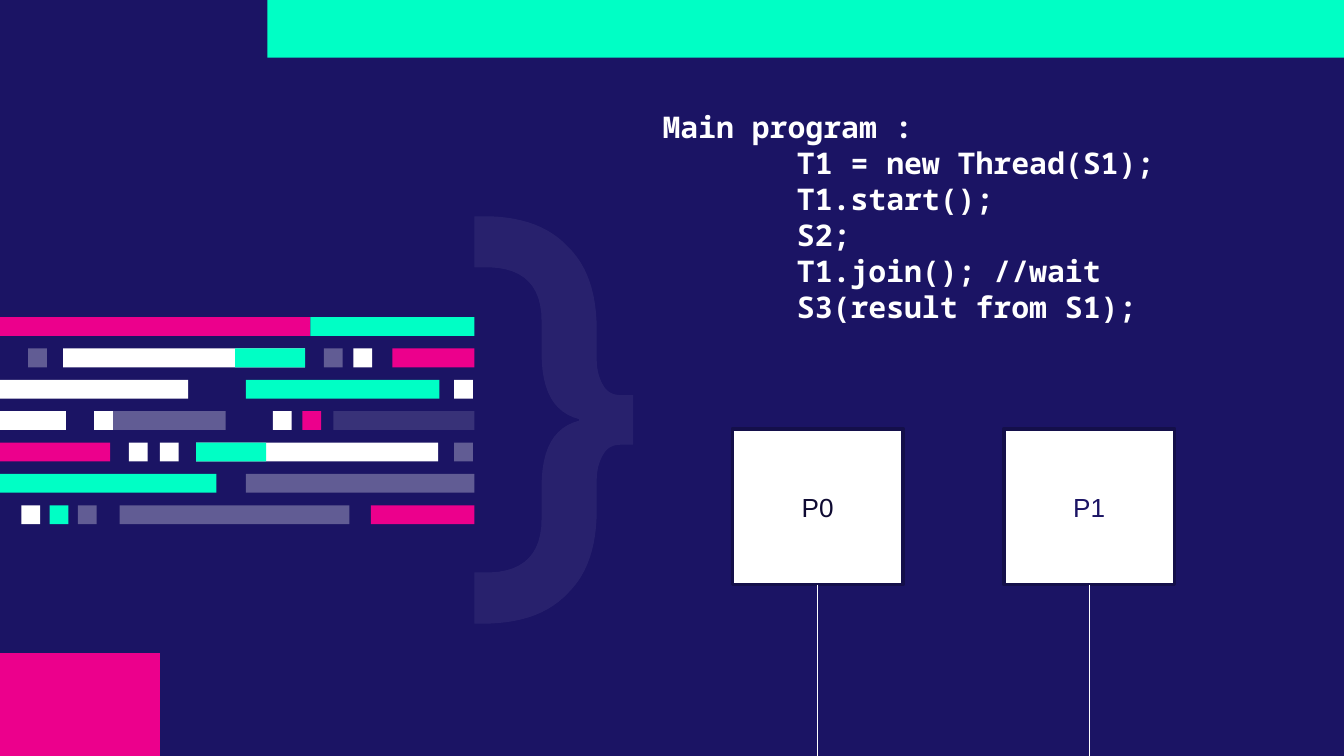
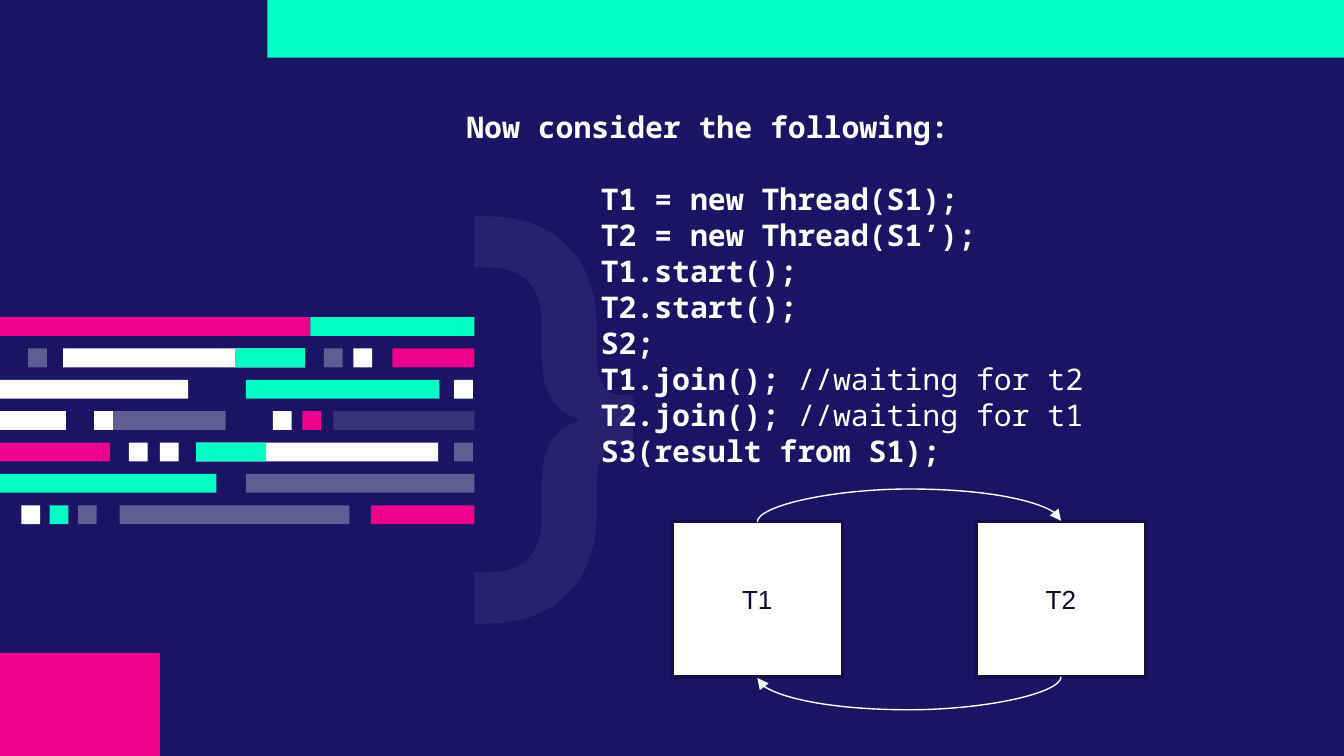
from lxml import etree
from pptx import Presentation
from pptx.dml.color import RGBColor
from pptx.enum.shapes import MSO_CONNECTOR, MSO_SHAPE
from pptx.enum.text import MSO_ANCHOR, MSO_AUTO_SIZE, PP_ALIGN
from pptx.oxml.ns import qn
from pptx.util import Inches, Pt

RECTANGLE = MSO_SHAPE.RECTANGLE
STRAIGHT, CURVE = MSO_CONNECTOR.STRAIGHT, MSO_CONNECTOR.CURVE
TOP, MIDDLE = MSO_ANCHOR.TOP, MSO_ANCHOR.MIDDLE
LEFT, CENTER = PP_ALIGN.LEFT, PP_ALIGN.CENTER
NO_AUTOFIT = MSO_AUTO_SIZE.NONE

NAVY = RGBColor(0x1B, 0x14, 0x64)
DARK_NAVY = RGBColor(0x14, 0x0F, 0x4A)
INK = RGBColor(0x0E, 0x0A, 0x32)
MINT = RGBColor(0x00, 0xFF, 0xC5)
PINK = RGBColor(0xEC, 0x00, 0x8C)
WHITE = RGBColor(0xFF, 0xFF, 0xFF)

CODE_FONT, LABEL_FONT = "Noto Sans Mono", "Arial"
LINE_PITCH = Pt(19.25)
PAGE_WIDTH = 10
PAGE_HEIGHT = PAGE_WIDTH * 9 / 16
BOX_WIDTH, BOX_HEIGHT = 1.27, 1.16

# Fills as (colour, opacity in percent)
SOLID_MINT, SOLID_PINK, SOLID_WHITE = (MINT, 100), (PINK, 100), (WHITE, 100)
HAZE, FAINT_HAZE, GHOST = (WHITE, 31), (WHITE, 13), (WHITE, 6)

# Rows of code-like bars: (left, width, fill)
SQUARE = 0.14
BAR_ROWS = [
    [(0, 2.31, SOLID_PINK), (2.31, 1.22, SOLID_MINT)],
    [(0.21, SQUARE, HAZE), (0.47, 1.8, SOLID_WHITE), (1.75, 0.52, SOLID_MINT),
     (2.41, SQUARE, HAZE), (2.63, SQUARE, SOLID_WHITE), (2.92, 0.61, SOLID_PINK)],
    [(0, 1.4, SOLID_WHITE), (1.83, 1.44, SOLID_MINT), (3.38, SQUARE, SOLID_WHITE)],
    [(0, 0.49, SOLID_WHITE), (0.7, 0.98, HAZE), (0.7, SQUARE, SOLID_WHITE),
     (2.03, SQUARE, SOLID_WHITE), (2.25, SQUARE, SOLID_PINK), (2.48, 1.05, FAINT_HAZE)],
    [(0, 0.82, SOLID_PINK), (0.96, SQUARE, SOLID_WHITE), (1.19, SQUARE, SOLID_WHITE),
     (1.46, 1.8, SOLID_WHITE), (1.46, 0.52, SOLID_MINT), (3.38, SQUARE, HAZE)],
    [(0, 1.61, SOLID_MINT), (1.83, 1.7, HAZE)],
    [(0.16, SQUARE, SOLID_WHITE), (0.37, SQUARE, SOLID_MINT), (0.58, SQUARE, HAZE),
     (0.89, 1.71, HAZE), (2.76, 0.77, SOLID_PINK)],
]

# Upper half of the brace, from its top left corner: a pair is a corner,
# three pairs are a Bezier curve
BRACE_OUTER = [
    (0, 0), (0.12, 0),
    ((0.37, 0.01), (0.56, 0.08), (0.7, 0.23)),
    ((0.84, 0.37), (0.91, 0.57), (0.91, 0.84)), (0.91, 1.06),
    ((0.91, 1.15), (0.93, 1.21), (0.96, 1.26)),
    ((0.99, 1.31), (1.03, 1.33), (1.09, 1.33)), (1.18, 1.33)]
BRACE_INNER = [
    (0, 0.38), (0.12, 0.38),
    ((0.37, 0.39), (0.5, 0.52), (0.5, 0.78)), (0.5, 1.02),
    ((0.5, 1.3), (0.59, 1.46), (0.78, 1.51))]


def paint(shape, fill):
    """Flat fill, no outline and no shadow."""
    colour, opacity = fill
    shape.shadow.inherit = False
    shape.line.fill.background()
    shape.fill.solid()
    shape.fill.fore_color.rgb = colour
    if opacity < 100:
        tint = shape.element.spPr.find(qn("a:solidFill"))[0]
        etree.SubElement(tint, qn("a:alpha")).set("val", str(opacity * 1000))


def add_rectangle(page, left, top, width, height, fill):
    shape = page.shapes.add_shape(
        RECTANGLE, Inches(left), Inches(top), Inches(width), Inches(height))
    paint(shape, fill)
    return shape


def trace(steps, parts=12):
    """Turn corners and Bezier curves into a list of points."""
    points = []
    for step in steps:
        if len(step) == 2:
            points.append(step)
            continue
        knots = (points[-1], *step)
        for part in range(1, parts + 1):
            t = part / parts
            weights = ((1 - t) ** 3, 3 * t * (1 - t) ** 2, 3 * t * t * (1 - t), t ** 3)
            points.append(tuple(
                sum(weight * knot[axis] for weight, knot in zip(weights, knots))
                for axis in (0, 1)))
    return points


def add_brace(page, left, top, height):
    outer, inner = trace(BRACE_OUTER), trace(BRACE_INNER)

    def mirror(points):
        return [(x, height - y) for x, y in points]

    outline = outer + mirror(outer[::-1]) + mirror(inner) + inner[::-1]
    points = [(Inches(left + x), Inches(top + y)) for x, y in outline]
    builder = page.shapes.build_freeform(*points[0])
    builder.add_line_segments(points[1:], close=True)
    paint(builder.convert_to_shape(), GHOST)


def add_bars(page, left, top, height):
    pitch = (height - SQUARE) / (len(BAR_ROWS) - 1)
    for index, row in enumerate(BAR_ROWS):
        for offset, width, fill in row:
            add_rectangle(page, left + offset, top + index * pitch, width, SQUARE, fill)


def move_backdrop_to_layout(page, layout):
    """Draw the shared decoration once and hand it to the layout."""
    add_rectangle(page, 1.99, 0, PAGE_WIDTH - 1.99, 0.43, SOLID_MINT)
    add_bars(page, 0, 2.36, 1.54)
    add_brace(page, 3.53, 1.61, 3.03)
    add_rectangle(page, 0, 4.86, 1.19, PAGE_HEIGHT - 4.86, SOLID_PINK)
    decoration = [shape for shape in page.shapes if not shape.is_placeholder]
    for number, shape in enumerate(decoration, start=100):
        shape.element.xpath(".//p:cNvPr")[0].set("id", str(number))
        layout.element.cSld.spTree.append(shape.element)


def add_code(page, left, top, width, height, heading, lines, heading_gap=0):
    """Heading and indented code; a line is (code, plain comment)."""
    title = page.shapes.title
    title.left, title.top = Inches(left), Inches(top)
    title.width, title.height = Inches(width), Inches(height)
    frame = title.text_frame
    frame.word_wrap, frame.auto_size = True, NO_AUTOFIT
    frame.vertical_anchor = TOP
    frame.margin_left = frame.margin_right = Inches(0.1)
    frame.margin_top = frame.margin_bottom = Inches(0.1)
    for index, (code, comment) in enumerate([(heading, "")] + lines):
        para = frame.add_paragraph() if index else frame.paragraphs[0]
        para.alignment = LEFT
        para.line_spacing = LINE_PITCH
        para.space_before = Pt(0)
        para.space_after = Pt(0) if index else heading_gap
        if index:
            properties = para._p.get_or_add_pPr()
            properties.set("marL", str(Inches(1)))
            properties.set("indent", "0")
        for text, bold in ((code, True), (comment, False)):
            if text:
                span = para.add_run()
                span.text = text
                span.font.name, span.font.size = CODE_FONT, Pt(16)
                span.font.bold = bold
                span.font.color.rgb = WHITE


def add_box(page, left, top, label, colour=INK):
    box = add_rectangle(page, left, top, BOX_WIDTH, BOX_HEIGHT, SOLID_WHITE)
    box.line.color.rgb = DARK_NAVY
    box.line.width = Pt(2)
    box.text_frame.vertical_anchor = MIDDLE
    para = box.text_frame.paragraphs[0]
    para.text = label
    para.alignment = CENTER
    para.font.name, para.font.size = LABEL_FONT, Pt(14)
    para.font.color.rgb = colour


def add_line(page, kind, start, end):
    line = page.shapes.add_connector(
        kind, *(Inches(length) for length in (*start, *end)))
    line.line.color.rgb = WHITE
    line.line.width = Pt(0.75)
    etree.SubElement(line.element.spPr, qn("a:effectLst"))
    return line


def add_arc_arrow(page, centre, y, span, bulge, upward):
    """Curved arrow: rightward over the boxes or leftward under them.

    The connector is a thin upright one, turned by 90 degrees."""
    thickness = 0.01
    side = 1 if upward else -1
    dx, dy = side * thickness / 2, side * span / 2
    arrow = add_line(page, CURVE, (centre + dx, y + dy), (centre - dx, y - dy))
    properties = arrow.element.spPr
    properties.find(qn("a:xfrm")).set("rot", str(90 * 60000))
    guides = properties.find(qn("a:prstGeom")).find(qn("a:avLst"))
    guide = etree.SubElement(guides, qn("a:gd"))
    guide.set("name", "adj1")
    guide.set("fmla", f"val {round(bulge / thickness * 100000)}")
    tip = etree.SubElement(properties.find(qn("a:ln")), qn("a:tailEnd"))
    tip.set("type", "triangle")


def add_process_lines(page, left, top, gap):
    """Two processes with their time lines running off the page."""
    for index, (label, colour) in enumerate((("P0", INK), ("P1", NAVY))):
        box_left = left + index * (BOX_WIDTH + gap)
        add_box(page, box_left, top, label, colour)
        middle = box_left + BOX_WIDTH / 2
        add_line(page, STRAIGHT, (middle, top + BOX_HEIGHT), (middle, PAGE_HEIGHT))


def add_waiting_cycle(page, left, top, gap):
    """Two threads, each waiting for the other."""
    span = BOX_WIDTH + gap
    for index, label in enumerate(("T1", "T2")):
        add_box(page, left + index * span, top, label)
    centre = left + (BOX_WIDTH + span) / 2
    add_arc_arrow(page, centre, top, span, 0.25, upward=True)
    add_arc_arrow(page, centre, top + BOX_HEIGHT, span, 0.25, upward=False)


deck = Presentation()
deck.slide_width, deck.slide_height = Inches(PAGE_WIDTH), Inches(PAGE_HEIGHT)
layout = deck.slide_layouts.get_by_name("Title Only")
layout.background.fill.solid()
layout.background.fill.fore_color.rgb = NAVY

# Slide 1: main program
page = deck.slides.add_slide(layout)
move_backdrop_to_layout(page, layout)
add_code(page, 4.83, 0.71, 4.33, 1.91, "Main program :", [
    ("T1 = new Thread(S1);", ""),
    ("T1.start();", ""),
    ("S2;", ""),
    ("T1.join(); //wait", ""),
    ("S3(result from S1);", "")])
add_process_lines(page, 5.45, 3.19, 0.75)

# Slide 2: threads waiting for each other
page = deck.slides.add_slide(layout)
add_code(page, 3.37, 0.71, 5.79, 3.17, "Now consider the following:", [
    ("T1 = new Thread(S1);", ""),
    ("T2 = new Thread(S1’);", ""),
    ("T1.start();", ""),
    ("T2.start();", ""),
    ("S2;", ""),
    ("T1.join(); ", "//waiting for t2"),
    ("T2.join(); ", "//waiting for t1"),
    ("S3(result from S1);", "")], heading_gap=LINE_PITCH)
add_waiting_cycle(page, 5, 3.88, 0.99)

deck.save("out.pptx")
